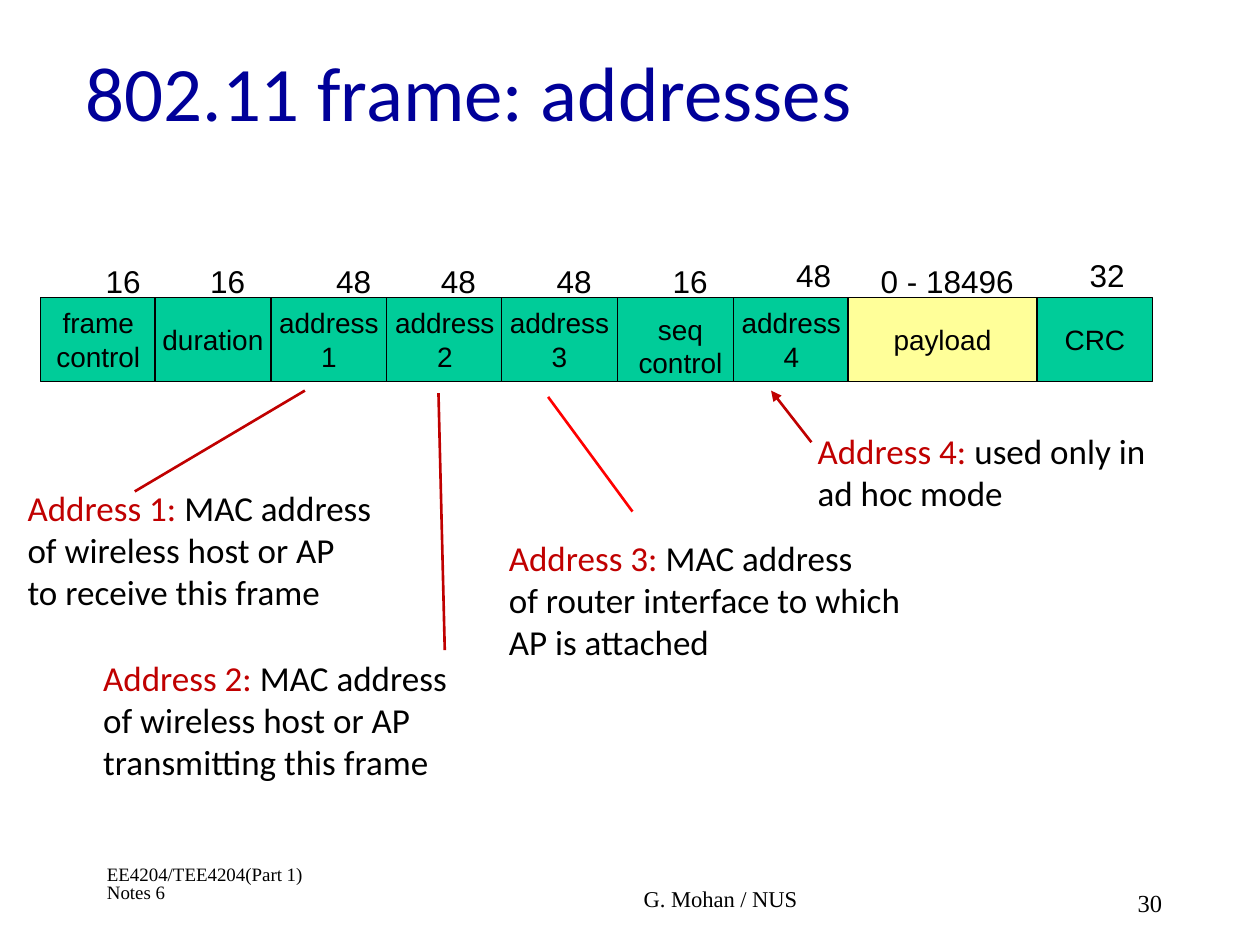
import dataclasses
import pptx
import pptx.dml.color
import pptx.enum.shapes
import pptx.enum.text
import pptx.oxml.ns
import pptx.util
from lxml import etree

SCALE = 9144
TOP, HIGH, WIDE = 236, 67, 92
BLACK, RED, GREEN, CREAM = "000000", "C00000", "00CC99", "FFFF99"
ALIGN = pptx.enum.text.PP_ALIGN
ANCHOR = pptx.enum.text.MSO_ANCHOR
FIT = pptx.enum.text.MSO_AUTO_SIZE.SHAPE_TO_FIT_TEXT


@dataclasses.dataclass
class Field:
    name: str
    bits: str
    left: int
    top: int = 203
    width: int = WIDE
    fill: str = GREEN


@dataclasses.dataclass
class Note:
    box: tuple[int, int, int, int]
    head: str
    lines: list[str]


@dataclasses.dataclass
class Line:
    start: tuple[int, int]
    end: tuple[int, int]
    color: str = RED
    arrow: bool = False


@dataclasses.dataclass
class Label:
    box: tuple[int, int, int, int]
    text: str
    size: float
    font: str = "Times New Roman"
    space: float = 1.0
    wrap: bool = True
    align: ALIGN = ALIGN.LEFT


FIELDS = [
    Field("frame\ncontrol", "16", 74),
    Field("duration", "16", 157),
    Field("address\n1", "48", 257),
    Field("address\n2", "48", 340),
    Field("address\n3", "48", 432),
    Field("", "16", 524),
    Field("address\n4", "48", 622, 198),
    Field("payload", "0 - 18496", 689, width=150, fill=CREAM),
    Field("CRC", "32", 855, 198),
]
NOTES = [
    Note((12, 381, 335, 110), "Address 1: ",
         ["MAC address", "of wireless host or AP", "to receive this frame"]),
    Note((72, 516, 335, 110), "Address 2: ",
         ["MAC address", "of wireless host or AP", "transmitting this frame"]),
    Note((394, 421, 334, 144), "Address 3: ",
         ["MAC address", "of router interface to which AP is attached"]),
    Note((639, 336, 285, 77), "Address 4: ", ["used only in ad hoc mode"]),
]
LINES = [
    Line((107, 390), (242, 310)),
    Line((353, 516), (348, 312)),
    Line((502, 406), (435, 315), "FF0000"),
    Line((644, 351), (612, 310), arrow=True),
]
LABELS = [
    Label((494, 243, 92, 64), "seq\ncontrol", 16, "Arial",
          wrap=False, align=ALIGN.CENTER),
    Label((75, 683, 208, 50), "EE4204/TEE4204(Part 1) Notes 6", 10.8, space=0.8),
    Label((501, 700, 189, 33), "G. Mohan / NUS", 12.9, space=0.9),
    Label((893, 700, 74, 50), "30", 14),
]


def px(*nums: int) -> list[int]:
    return [pptx.util.Emu(num * SCALE) for num in nums]


def rgb(code: str) -> pptx.dml.color.RGBColor:
    return pptx.dml.color.RGBColor.from_string(code)


def style(font, name: str, size: float, color: str = BLACK) -> None:
    font.name = name
    font.size = pptx.util.Pt(size)
    font.color.rgb = rgb(color)


def draw_label(slide, label: Label) -> None:
    frame = slide.shapes.add_textbox(*px(*label.box)).text_frame
    frame.word_wrap = label.wrap
    if not label.wrap:
        frame.auto_size = FIT
    frame.text = label.text
    for para in frame.paragraphs:
        para.alignment = label.align
        para.line_spacing = label.space
        for run in para.runs:
            style(run.font, label.font, label.size)


def draw_field(slide, field: Field, left: int) -> None:
    kind = pptx.enum.shapes.MSO_SHAPE.RECTANGLE
    cell = slide.shapes.add_shape(kind, *px(left, TOP, field.width, HIGH))
    cell.shadow.inherit = False
    cell.fill.solid()
    cell.fill.fore_color.rgb = rgb(field.fill)
    cell.line.color.rgb = rgb(BLACK)
    cell.line.width = pptx.util.Pt(0.75)
    frame = cell.text_frame
    frame.word_wrap = False
    frame.vertical_anchor = ANCHOR.MIDDLE
    frame.text = field.name
    for para in frame.paragraphs:
        para.alignment = ALIGN.CENTER
        for run in para.runs:
            style(run.font, "Arial", 16)
    width = 48 if len(field.bits) == 2 else 129
    box = (field.left, field.top, width, 40)
    draw_label(slide, Label(box, field.bits, 18, "Arial", wrap=False))


def draw_note(slide, note: Note) -> None:
    frame = slide.shapes.add_textbox(*px(*note.box)).text_frame
    frame.word_wrap = True
    frame.text = "\n".join([note.head, *note.lines[1:]])
    first = frame.paragraphs[0]
    first.add_run().text = note.lines[0]
    for para in frame.paragraphs:
        for run in para.runs:
            style(run.font, "Calibri", 20)
    first.runs[0].font.color.rgb = rgb(RED)


def draw_line(slide, line: Line) -> None:
    kind = pptx.enum.shapes.MSO_CONNECTOR.STRAIGHT
    link = slide.shapes.add_connector(kind, *px(*line.start, *line.end))
    link.line.color.rgb = rgb(line.color)
    link.line.width = pptx.util.Pt(1.5)
    props = link.element.spPr
    etree.SubElement(props, pptx.oxml.ns.qn("a:effectLst"))
    if line.arrow:
        stroke = props.find(pptx.oxml.ns.qn("a:ln"))
        etree.SubElement(stroke, pptx.oxml.ns.qn("a:tailEnd"), type="triangle")


def draw_title(slide) -> None:
    title = slide.shapes.title
    title.left, title.top, title.width, title.height = px(58, 17, 708, 110)
    frame = title.text_frame
    frame.text = "802.11 frame: addresses"
    frame.vertical_anchor = ANCHOR.MIDDLE
    para = frame.paragraphs[0]
    para.alignment = ALIGN.LEFT
    style(para.runs[0].font, "Calibri", 44, "000099")


def main() -> None:
    deck = pptx.Presentation()
    deck.slide_width, deck.slide_height = px(1000, 750)
    slide = deck.slides.add_slide(deck.slide_layouts[5])
    draw_title(slide)
    for spot, field in enumerate(FIELDS):
        left = 32 + spot * 275 // 3 if spot < 8 else 823
        draw_field(slide, field, left)
    for note in NOTES:
        draw_note(slide, note)
    for line in LINES:
        draw_line(slide, line)
    for label in LABELS:
        draw_label(slide, label)
    deck.save("out.pptx")


if __name__ == "__main__":
    main()
